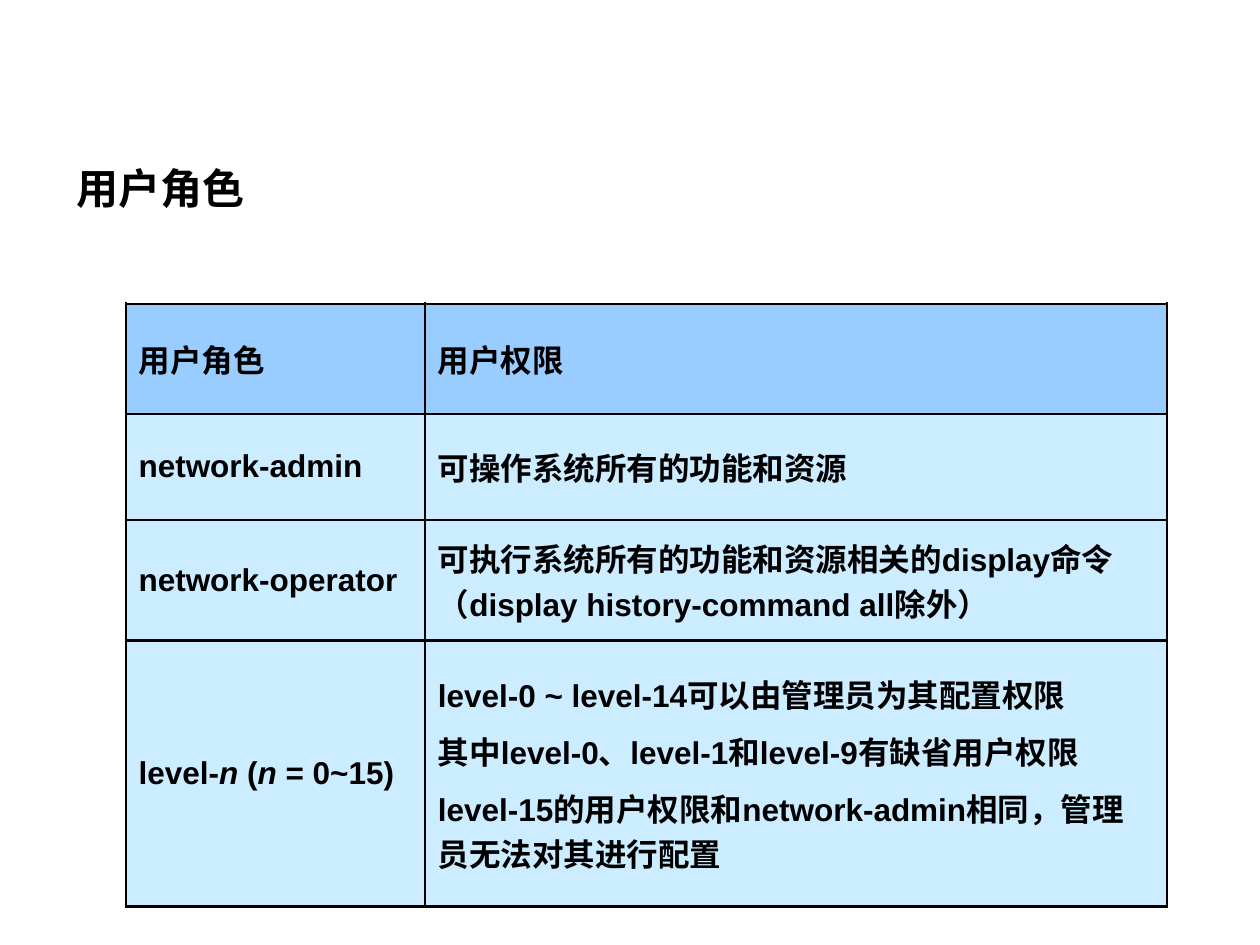
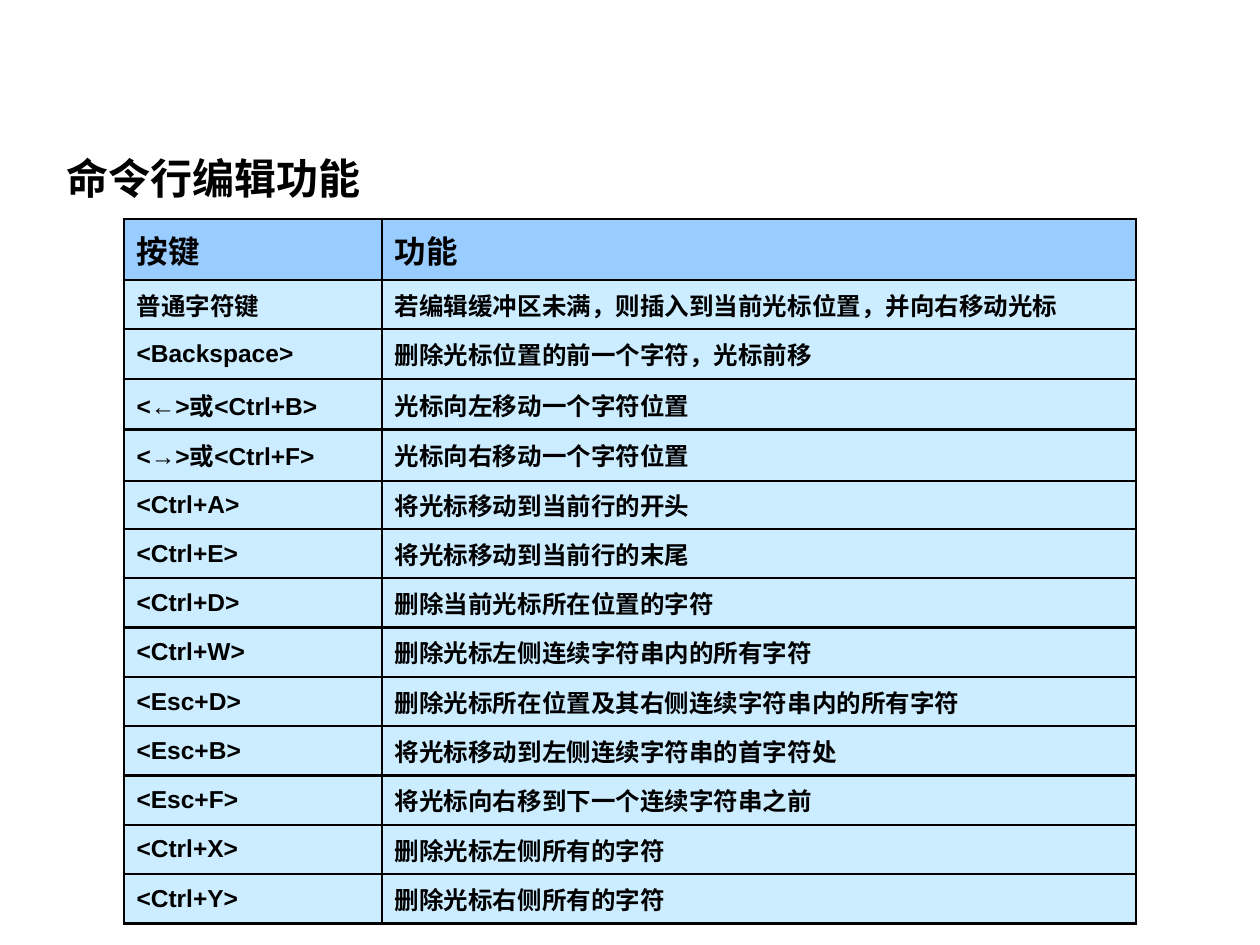
"""Build two slides of command-line reference tables."""
import lxml.etree
import pptx
import pptx.dml.color
import pptx.enum.text
import pptx.oxml.ns
import pptx.util

Pt = pptx.util.Pt
RGBColor = pptx.dml.color.RGBColor
qn = pptx.oxml.ns.qn

BLACK = RGBColor(0x00, 0x00, 0x00)
HEADER_BLUE = RGBColor(0x99, 0xCC, 0xFF)
BODY_BLUE = RGBColor(0xCC, 0xEC, 0xFF)
LATIN_FONT = "Arial"
CHINESE_FONT = "Noto Sans CJK JP"
HEADER_SIZE = 18
BORDER_WIDTH = 1.5

ROLE_ROWS = [
    ("用户角色", "用户权限"),
    ("network-admin", "可操作系统所有的功能和资源"),
    ("network-operator",
     "可执行系统所有的功能和资源相关的display命令（display history-command all除外）"),
    ("level-*n *(*n *= 0~15)",
     "level-0 ~ level-14可以由管理员为其配置权限\n"
     "其中level-0、level-1和level-9有缺省用户权限\n"
     "level-15的用户权限和network-admin相同，管理员无法对其进行配置"),
]
KEY_ROWS = [
    ("按键", "功能"),
    ("普通字符键", "若编辑缓冲区未满，则插入到当前光标位置，并向右移动光标"),
    ("<Backspace>", "删除光标位置的前一个字符，光标前移"),
    ("<←>或<Ctrl+B>", "光标向左移动一个字符位置"),
    ("<→>或<Ctrl+F>", "光标向右移动一个字符位置"),
    ("<Ctrl+A>", "将光标移动到当前行的开头"),
    ("<Ctrl+E>", "将光标移动到当前行的末尾"),
    ("<Ctrl+D>", "删除当前光标所在位置的字符"),
    ("<Ctrl+W>", "删除光标左侧连续字符串内的所有字符"),
    ("<Esc+D>", "删除光标所在位置及其右侧连续字符串内的所有字符"),
    ("<Esc+B>", "将光标移动到左侧连续字符串的首字符处"),
    ("<Esc+F>", "将光标向右移到下一个连续字符串之前"),
    ("<Ctrl+X>", "删除光标左侧所有的字符"),
    ("<Ctrl+Y>", "删除光标右侧所有的字符"),
]


def set_spacing(paragraph, before, after):
    """Set the paragraph spacing in percent of the line."""
    properties = paragraph._p.get_or_add_pPr()
    for tag, percent in (("a:spcBef", before), ("a:spcAft", after)):
        spacing = lxml.etree.SubElement(properties, qn(tag))
        lxml.etree.SubElement(spacing, qn("a:spcPct"), val=str(percent * 1000))


def write_text(text_frame, text, *, size, font=LATIN_FONT, spacing=None):
    """Write bold lines of text, with italics between asterisks."""
    for index, line in enumerate(text.split("\n")):
        paragraph = text_frame.add_paragraph() if index else text_frame.paragraphs[0]
        if spacing:
            set_spacing(paragraph, *spacing)
        for position, part in enumerate(line.split("*")):
            run = paragraph.add_run()
            run.text = part
            run.font.size = Pt(size)
            run.font.bold = True
            run.font.italic = position % 2 == 1
            run.font.color.rgb = BLACK
            run.font.name = font
            properties = run._r.get_or_add_rPr()
            properties.set("lang", "zh-CN")
            lxml.etree.SubElement(properties, qn("a:ea"), typeface=CHINESE_FONT)


def add_title(slide, text, left, top):
    """Add a slide title."""
    shape = slide.shapes.add_textbox(Pt(left), Pt(top), Pt(570), Pt(48))
    shape.text_frame.word_wrap = True
    shape.text_frame.vertical_anchor = pptx.enum.text.MSO_ANCHOR.MIDDLE
    write_text(shape.text_frame, text, size=24, font=CHINESE_FONT)


def set_borders(cell):
    """Draw a black line on each side of a cell."""
    properties = cell._tc.get_or_add_tcPr()
    for side in "LRTB":
        line = lxml.etree.SubElement(
            properties, qn(f"a:ln{side}"), w=str(Pt(BORDER_WIDTH)))
        fill = lxml.etree.SubElement(line, qn("a:solidFill"))
        lxml.etree.SubElement(fill, qn("a:srgbClr"), val=str(BLACK))


def format_cell(cell, text, *, size, color):
    """Fill, frame and write one cell."""
    set_borders(cell)
    cell.fill.solid()
    cell.fill.fore_color.rgb = color
    cell.vertical_anchor = pptx.enum.text.MSO_ANCHOR.MIDDLE
    cell.margin_left = cell.margin_right = Pt(7.2)
    cell.margin_top = cell.margin_bottom = Pt(3.6)
    write_text(cell.text_frame, text, size=size, spacing=(10, 25))


def add_grid(slide, rows, left, top, widths, heights, *, body_size):
    """Add a table with a darker header row."""
    frame = slide.shapes.add_table(
        len(rows), len(widths), Pt(left), Pt(top), Pt(sum(widths)), Pt(sum(heights)))
    table = frame.table
    table.first_row = table.horz_banding = False
    for column, width in zip(table.columns, widths):
        column.width = Pt(width)
    for index, (row, height, texts) in enumerate(zip(table.rows, heights, rows)):
        row.height = Pt(height)
        size, color = (body_size, BODY_BLUE) if index else (HEADER_SIZE, HEADER_BLUE)
        for cell, text in zip(row.cells, texts):
            format_cell(cell, text, size=size, color=color)


def main():
    """Build and save the presentation."""
    presentation = pptx.Presentation()
    presentation.slide_width, presentation.slide_height = Pt(720), Pt(540)
    blank = presentation.slide_layouts[6]

    roles = presentation.slides.add_slide(blank)
    add_title(roles, "用户角色", 36.7, 83)
    add_grid(roles, ROLE_ROWS, 72, 173.5, [171, 424], [63, 60.5, 69, 152],
             body_size=18)

    keys = presentation.slides.add_slide(blank)
    add_title(keys, "命令行编辑功能", 31, 77.5)
    key_heights = [34.7, 28.2, 28.5, 28.8, 29.3, 27.5] + [28.2] * 8
    add_grid(keys, KEY_ROWS, 70.8, 125.3, [147.6, 430.6], key_heights, body_size=14)

    presentation.save("out.pptx")


if __name__ == "__main__":
    main()
